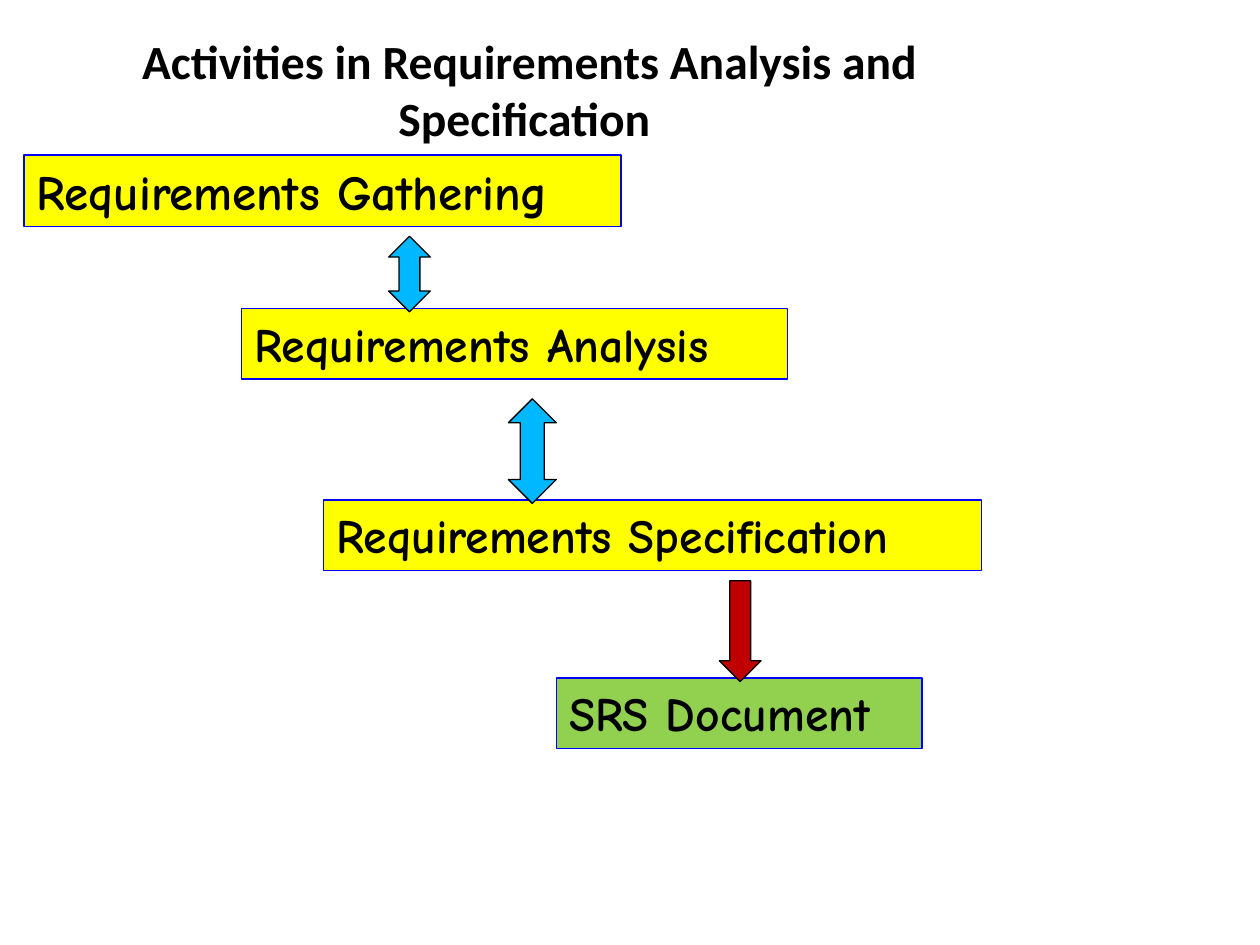
from pptx import Presentation
from pptx.dml.color import RGBColor
from pptx.enum.shapes import MSO_SHAPE as Preset
from pptx.enum.text import MSO_ANCHOR as Anchor, MSO_AUTO_SIZE as AutoSize, PP_ALIGN as Align
from pptx.util import Pt

BLACK = RGBColor(0, 0, 0)
BLUE = RGBColor(0, 0, 255)
SKY = RGBColor(0, 184, 255)
YELLOW = RGBColor(255, 255, 0)
GREEN = RGBColor(146, 208, 80)
RED = RGBColor(192, 0, 0)


class SlideBuilder:
    """Hold the text style and the current slide, and draw its elements."""

    heading_font = "Calibri"
    label_font = "Comic Neue"
    text_size = 27.2
    line_width = 0.75

    def __init__(self, deck):
        self.page = deck.slides.add_slide(deck.slide_layouts[5])

    def add_text(self, frame, text, font, size, align):
        frame.word_wrap = True
        frame.auto_size = AutoSize.NONE
        para = frame.paragraphs[0]
        para.alignment = align
        para.space_before = Pt(0)
        span = para.add_run()
        span.text = text
        span.font.name = font
        span.font.size = Pt(size)
        span.font.bold = True
        span.font.color.rgb = BLACK

    def title(self, text, left, top, width, height):
        box = self.page.shapes.title
        box.left, box.top, box.width, box.height = map(Pt, (left, top, width, height))
        box.text_frame.vertical_anchor = Anchor.MIDDLE
        self.add_text(box.text_frame, text, self.heading_font, self.text_size, Align.CENTER)

    def shape(self, preset, bounds, fill, line):
        shape = self.page.shapes.add_shape(preset, *map(Pt, bounds))
        shape.shadow.inherit = False
        shape.fill.solid()
        shape.fill.fore_color.rgb = fill
        shape.line.color.rgb = line
        shape.line.width = Pt(self.line_width)
        return shape

    def activity(self, text, left, top, width, height=40.3, fill=YELLOW, size=text_size):
        box = self.shape(Preset.RECTANGLE, (left, top, width, height), fill, BLUE)
        box.text_frame.vertical_anchor = Anchor.TOP
        self.add_text(box.text_frame, text, self.label_font, size, Align.LEFT)

    def arrow(self, preset, left, top, width, height, fill, rotation=0):
        arrow = self.shape(preset, (left, top, width, height), fill, BLACK)
        arrow.rotation = rotation


def main():
    deck = Presentation()
    deck.slide_width, deck.slide_height = Pt(720), Pt(540)
    slide = SlideBuilder(deck)
    slide.title("Activities in Requirements Analysis and Specification ", 16.6, 5.8, 572.4, 90)
    slide.activity("SRS Document", 318.2, 387.4, 208.8, fill=GREEN)
    slide.arrow(Preset.DOWN_ARROW, 411.1, 331.9, 23.8, 57.6, RED)
    slide.activity("Requirements Gathering", 13.7, 88.6, 341.3, height=41, size=28)
    slide.activity("Requirements Analysis", 138.2, 176.4, 311.8)
    slide.activity("Requirements Specification", 185, 285.8, 375.8)
    slide.arrow(Preset.LEFT_RIGHT_ARROW, 212.4, 144.7, 43.2, 23.8, SKY, 270)
    slide.arrow(Preset.LEFT_RIGHT_ARROW, 274.3, 244.1, 59.8, 27.4, SKY, 270)
    deck.save("out.pptx")


if __name__ == "__main__":
    main()
